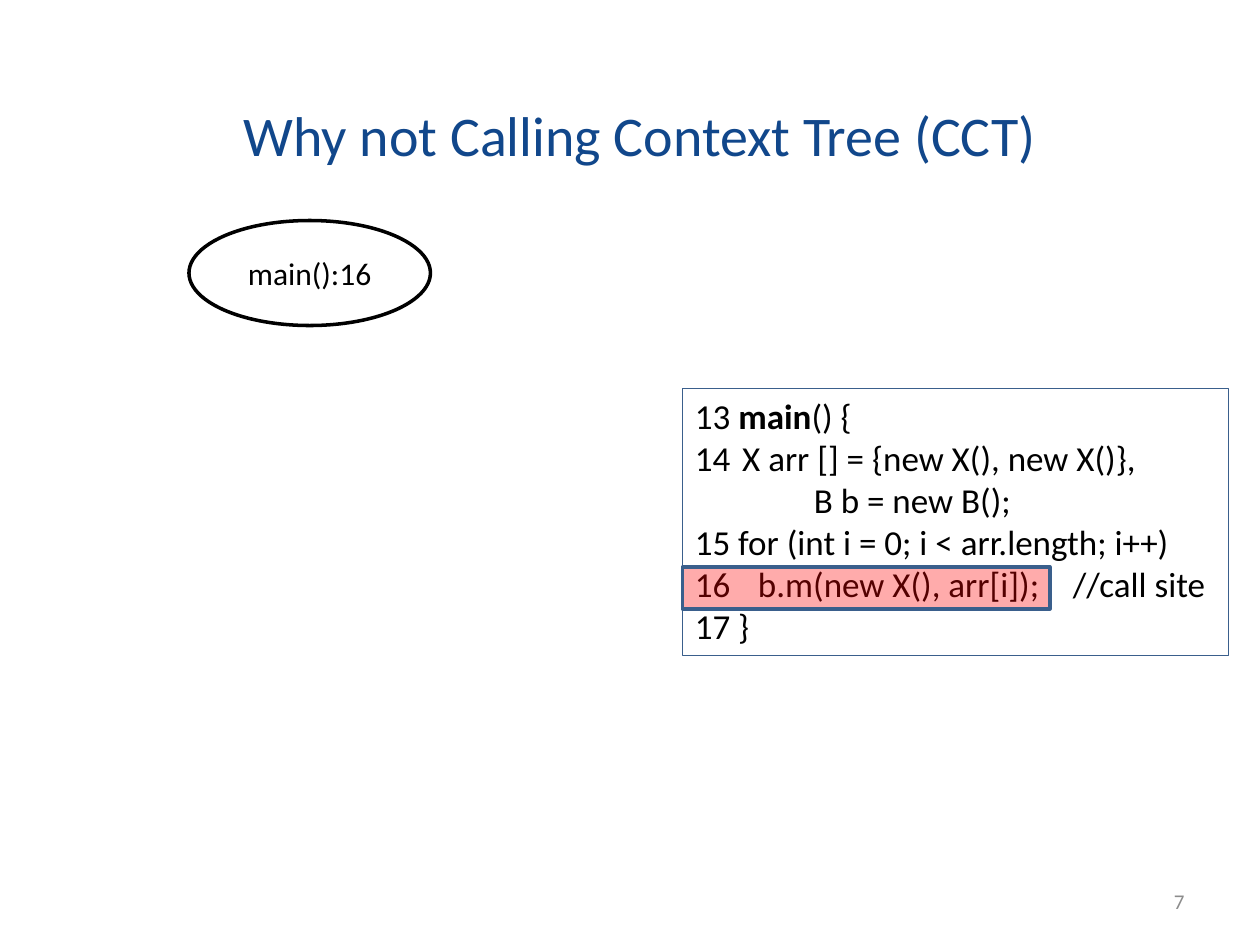
import pptx
import pptx.util
import pptx.dml.color
import pptx.enum.shapes
import pptx.enum.text
from dataclasses import dataclass
from lxml import etree
from pptx.oxml.ns import qn

Pt = pptx.util.Pt
Align = pptx.enum.text.PP_ALIGN
Anchor = pptx.enum.text.MSO_ANCHOR
Shapes = pptx.enum.shapes.MSO_SHAPE


@dataclass(frozen=True)
class Theme:
    font: str = "Calibri"
    title: str = "11478B"
    ink: str = "000000"
    border: str = "3A5F8C"
    highlight: str = "FF0000"
    muted: str = "8C8C8C"
    title_size: int = 32
    code_size: int = 20
    node_size: int = 18
    number_size: int = 12


THEME = Theme()
HANG = 27  # width of the line-number column


def rgb(value):
    return pptx.dml.color.RGBColor.from_string(value)


def style(para, size, color, align=Align.LEFT):
    para.alignment = align
    para.font.name = THEME.font
    para.font.size = Pt(size)
    para.font.color.rgb = rgb(color)


def outline(shape, color, width):
    shape.line.color.rgb = rgb(color)
    shape.line.width = Pt(width)


def indent(para, left, first=0, tabs=(), number=None):
    """Set indents, tab stops and an optional automatic line number."""
    props = para._p.get_or_add_pPr()
    props.set("marL", str(Pt(left)))
    props.set("indent", str(Pt(first)))
    if number:
        etree.SubElement(props, qn("a:buAutoNum"), type="arabicPlain", startAt=str(number))
    if tabs:
        stops = etree.SubElement(props, qn("a:tabLst"))
        for stop in tabs:
            etree.SubElement(stops, qn("a:tab"), pos=str(Pt(stop)), algn="l")


def add_title(page, text, bounds):
    title = page.shapes.title
    title.left, title.top, title.width, title.height = map(Pt, bounds)
    frame = title.text_frame
    frame.text = text
    frame.auto_size = pptx.enum.text.MSO_AUTO_SIZE.NONE
    frame.vertical_anchor = Anchor.TOP
    style(frame.paragraphs[0], THEME.title_size, THEME.title)


def add_outlined(page, kind, bounds, color, width):
    shape = page.shapes.add_shape(kind, *map(Pt, bounds))
    shape.shadow.inherit = False
    shape.fill.background()
    outline(shape, color, width)
    return shape


def add_node(page, text, bounds):
    node = add_outlined(page, Shapes.OVAL, bounds, THEME.ink, 2)
    node.text_frame.text = text
    node.text_frame.vertical_anchor = Anchor.MIDDLE
    style(node.text_frame.paragraphs[0], THEME.node_size, THEME.ink, Align.CENTER)


def add_code(page, lines, bounds):
    """Each line is a list of (text, bold) spans with its indent settings."""
    box = page.shapes.add_textbox(*map(Pt, bounds))
    outline(box, THEME.border, 0.75)
    frame = box.text_frame
    frame.word_wrap = True
    for index, (spans, layout) in enumerate(lines):
        para = frame.add_paragraph() if index else frame.paragraphs[0]
        indent(para, **layout)
        style(para, THEME.code_size, THEME.ink)
        for text, bold in spans:
            span = para.add_run()
            span.text = text
            if bold:
                span.font.bold = True


def add_highlight(page, bounds):
    bar = add_outlined(page, Shapes.RECTANGLE, bounds, THEME.border, 2)
    bar.fill.solid()
    bar.fill.fore_color.rgb = rgb(THEME.highlight)
    color = bar.fill._xPr.find(qn("a:solidFill"))[0]
    etree.SubElement(color, qn("a:alpha"), val="33000")


def add_page_number(page, text, bounds):
    box = page.shapes.add_textbox(*map(Pt, bounds))
    frame = box.text_frame
    frame.word_wrap = True
    frame.vertical_anchor = Anchor.MIDDLE
    frame.text = text
    style(frame.paragraphs[0], THEME.number_size, THEME.muted, Align.RIGHT)


def main():
    deck = pptx.Presentation()
    deck.slide_width, deck.slide_height = Pt(720), Pt(540)
    page = deck.slides.add_slide(deck.slide_layouts[5])

    # Title and context tree root
    add_title(page, "Why not Calling Context Tree (CCT)", (132, 54, 492, 46))
    add_node(page, "main():16", (108, 126, 138, 60))

    # Code listing with the call site marked
    plain = {"left": 0}
    code = [
        ([("13 ", False), ("main", True), ("() {", False)], plain),
        ([("X arr [] = {new X(), new X()},", False)],
         {"left": HANG, "first": -HANG, "number": 14}),
        ([("B b = new B();", False)], {"left": HANG + 41}),
        ([("15 for (int i = 0; i < arr.length; i++)", False)], plain),
        ([("16\tb.m(new X(), arr[i]);\t//call site", False)],
         {"left": 0, "tabs": (HANG + 2, 203)}),
        ([("17 }", False)], plain),
    ]
    add_code(page, code, (390, 222, 312, 152.6))
    add_highlight(page, (390, 324, 210, 24))

    # Footer
    add_page_number(page, "7", (516, 500.5, 168, 28.75))

    deck.save("out.pptx")


if __name__ == "__main__":
    main()
